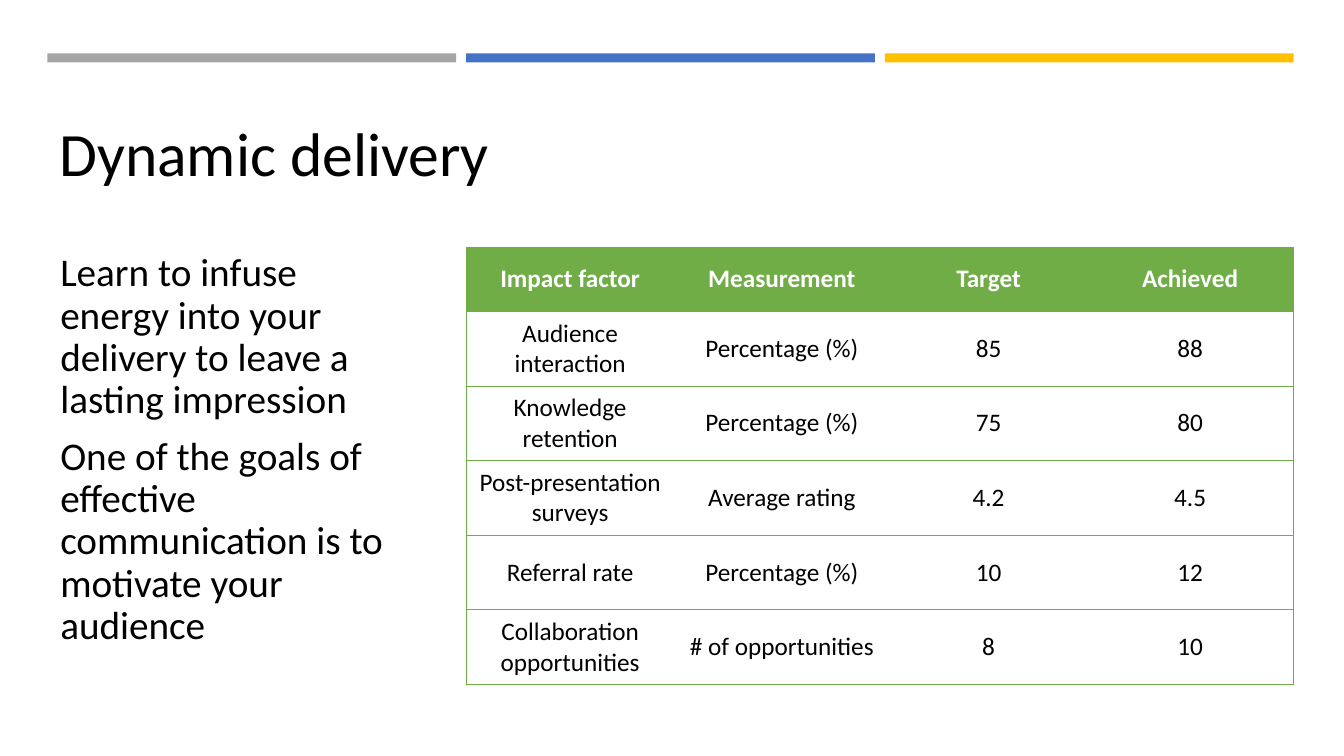
"""Builds the "Dynamic delivery" slide with a results table."""
from lxml import etree
from pptx import Presentation
from pptx import util as u
from pptx.dml.color import RGBColor
from pptx.enum import shapes, text
from pptx.oxml.ns import qn

FONT = "Calibri"
BLACK, WHITE, GREEN = "000000", "FFFFFF", "70AD47"
BAR_COLORS = ["A5A5A5", "4472C4", "FFC000"]
PLAIN_TABLE = "{2D5ABB26-0587-4C30-8999-92F81FD0307C}"
BODY = [
    "Learn to infuse energy into your delivery to leave a lasting impression",
    "One of the goals of effective communication is to motivate your audience",
]
COL_WIDTHS = [2.05, 2.15, 1.95, 2.05]
HEADER_HEIGHT, ROW_HEIGHT = 0.64, 0.74
ROWS = [
    ["Impact factor", "Measurement", "Target", "Achieved"],
    ["Audience interaction", "Percentage (%)", "85", "88"],
    ["Knowledge retention", "Percentage (%)", "75", "80"],
    ["Post-presentation surveys", "Average rating", "4.2", "4.5"],
    ["Referral rate", "Percentage (%)", "10", "12"],
    ["Collaboration opportunities", "# of opportunities", "8", "10"],
]


def rgb(color):
    """Return the colour for a hex string."""
    return RGBColor.from_string(color)


def style(p, size, color, bold=False):
    """Set the font of a whole paragraph."""
    p.font.name, p.font.size, p.font.bold = FONT, u.Pt(size), bold
    p.font.color.rgb = rgb(color)


def add_bars(s, left, top, width, height, gap=0.1):
    """Spread the coloured bars evenly over the box."""
    bar = (width - gap * (len(BAR_COLORS) - 1)) / len(BAR_COLORS)
    for i, color in enumerate(BAR_COLORS):
        sp = s.shapes.add_shape(
            shapes.MSO_SHAPE.RECTANGLE, u.Inches(left + i * (bar + gap)),
            u.Inches(top), u.Inches(bar), u.Inches(height))
        sp.shadow.inherit = False
        sp.fill.solid()
        sp.fill.fore_color.rgb = rgb(color)
        sp.line.fill.background()


def add_text(s, left, top, width, height, lines, size,
             anchor=text.MSO_ANCHOR.TOP, before=0):
    """Place a wrapped text box with one paragraph per line."""
    sp = s.shapes.add_textbox(*map(u.Inches, (left, top, width, height)))
    tf = sp.text_frame
    tf.word_wrap = True
    tf.vertical_anchor = anchor
    for i, line in enumerate(lines):
        p = tf.add_paragraph() if i else tf.paragraphs[0]
        p.text = line
        p.line_spacing, p.space_before = 0.9, u.Pt(before)
        style(p, size, BLACK)


def set_borders(cell, sides):
    """Draw thin green borders on the given sides of a cell."""
    tcPr = cell._tc.get_or_add_tcPr()
    for i, side in enumerate(sides):
        ln = etree.Element(qn(f"a:ln{side}"), w=str(u.Pt(0.5)))
        fill = etree.SubElement(ln, qn("a:solidFill"))
        etree.SubElement(fill, qn("a:srgbClr"), val=GREEN)
        tcPr.insert(i, ln)


def add_results(s, left, top, width, height):
    """Place the table of impact factors in the box."""
    frame = s.shapes.add_table(
        len(ROWS), len(COL_WIDTHS), *map(u.Inches, (left, top, width, height)))
    table = frame.table
    table.horz_banding = False
    table._tbl.tblPr.find(qn("a:tableStyleId")).text = PLAIN_TABLE
    for column, col_width in zip(table.columns, COL_WIDTHS):
        column.width = u.Inches(col_width)
    last = len(COL_WIDTHS) - 1
    for r, values in enumerate(ROWS):
        header = r == 0
        table.rows[r].height = u.Inches(HEADER_HEIGHT if header else ROW_HEIGHT)
        for c, value in enumerate(values):
            cell = table.cell(r, c)
            cell.text = value
            cell.vertical_anchor = text.MSO_ANCHOR.MIDDLE
            p = cell.text_frame.paragraphs[0]
            p.alignment = text.PP_ALIGN.CENTER
            style(p, 18, WHITE if header else BLACK, header)
            if header:
                cell.fill.solid()
                cell.fill.fore_color.rgb = rgb(GREEN)
            else:
                cell.fill.background()
            set_borders(cell, "L" * (c == 0) + "R" * (c == last) + "TB")


def main():
    """Build and save the slide."""
    prs = Presentation()
    prs.slide_width, prs.slide_height = u.Inches(13.33), u.Inches(7.5)
    s = prs.slides.add_slide(prs.slide_layouts[6])
    add_bars(s, 0.47, 0.53, 12.36, 0.09)
    add_text(s, 0.49, 0.79, 12.33, 1.14, ["Dynamic delivery"], 44,
             anchor=text.MSO_ANCHOR.BOTTOM)
    add_text(s, 0.5, 2.46, 3.66, 4.37, BODY, 28, before=10)
    add_results(s, 4.63, 2.45, 8.2, 4.34)
    prs.save("out.pptx")


if __name__ == "__main__":
    main()
